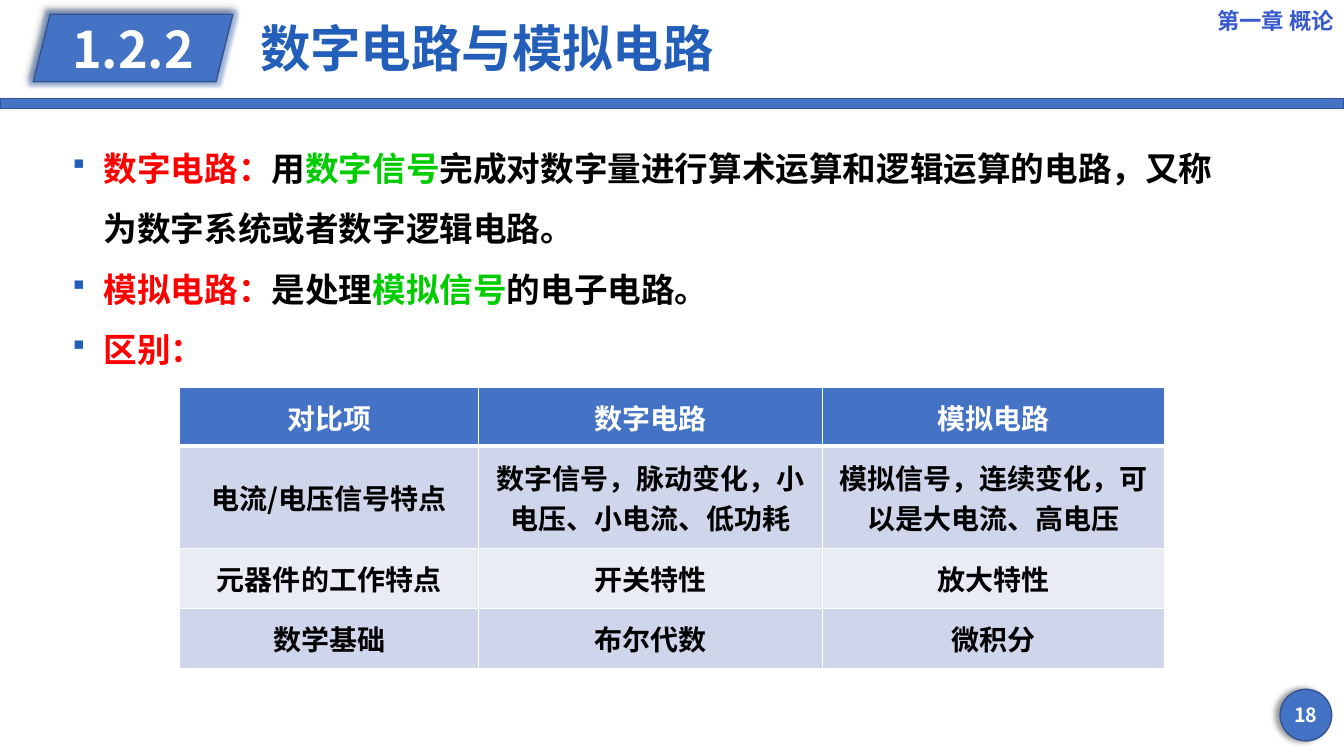
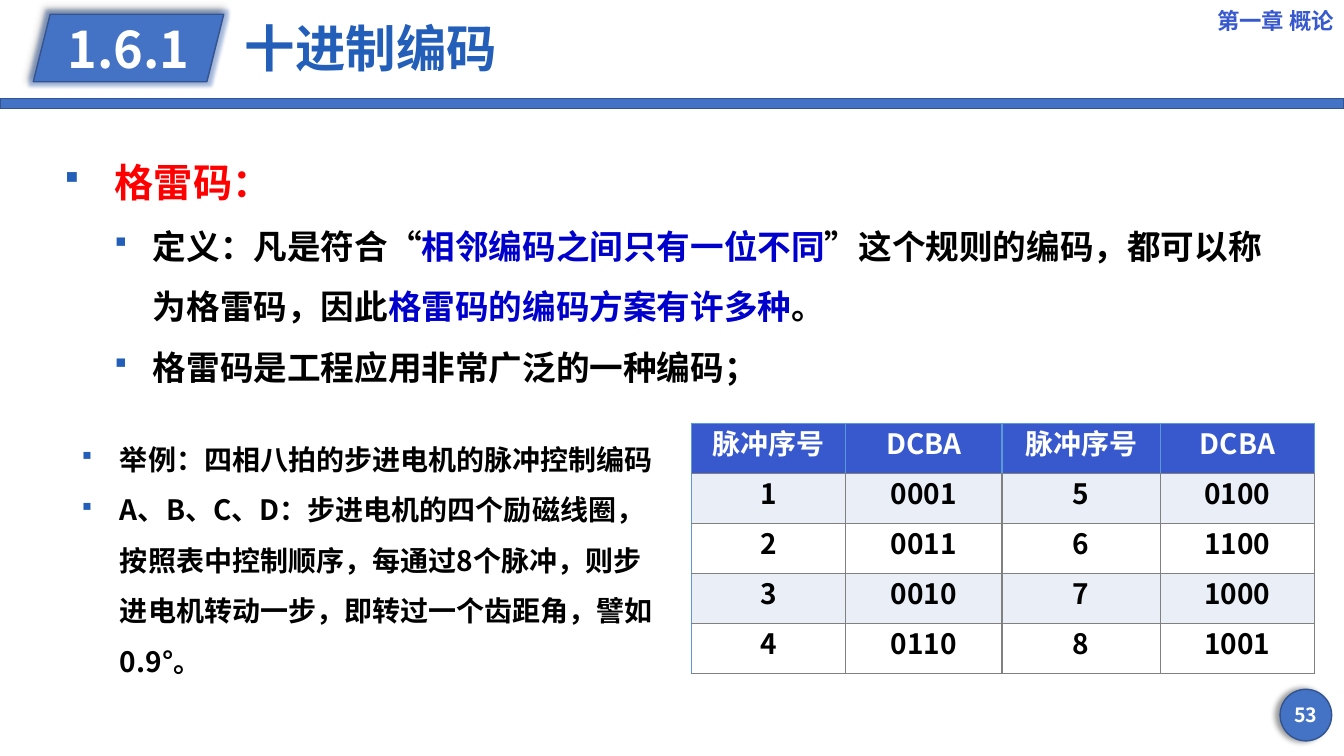
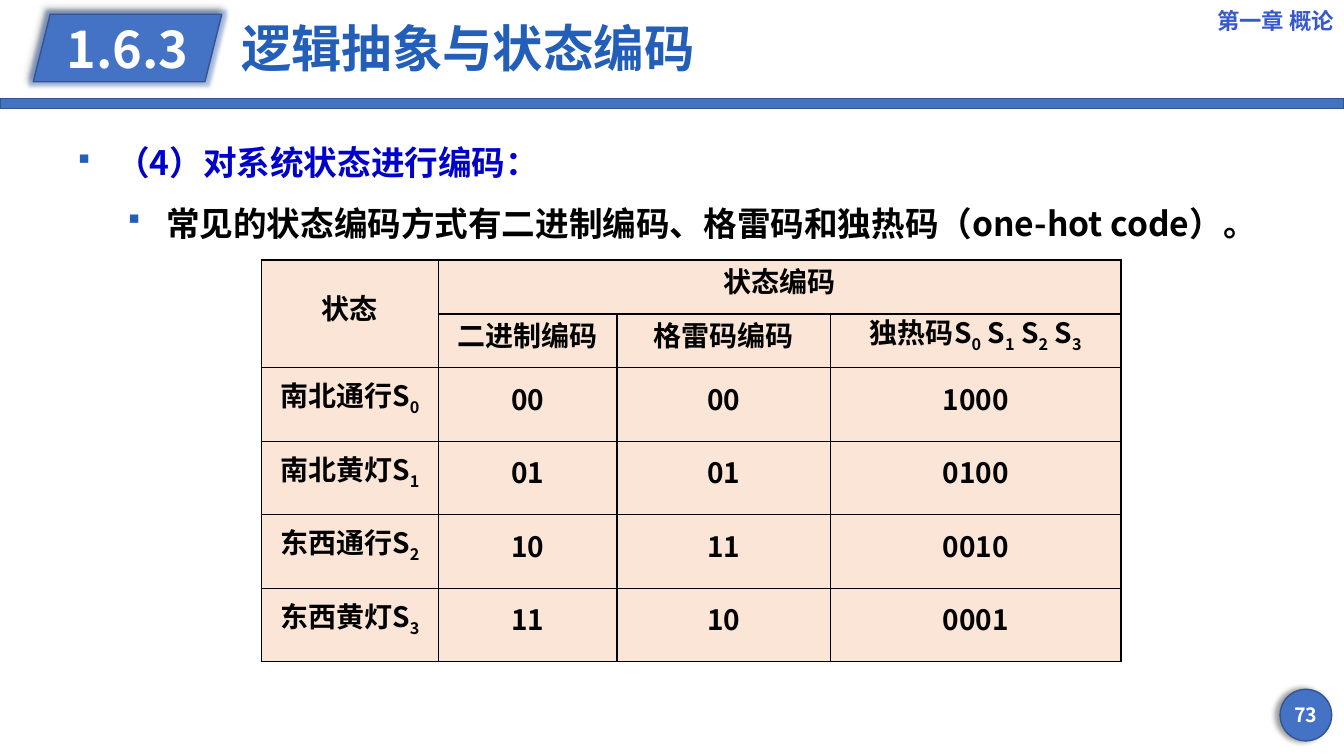
from lxml.etree import SubElement
from pptx import Presentation
from pptx.dml.color import RGBColor
from pptx.enum.shapes import MSO_SHAPE as Shape
from pptx.enum.text import MSO_ANCHOR as Anchor, MSO_AUTO_SIZE as AutoSize, PP_ALIGN as Align
from pptx.oxml import parse_xml
from pptx.oxml.ns import nsdecls, qn
from pptx.util import Cm, Pt

FONT = "Noto Sans CJK SC"
CHAPTER = "第一章 概论"
BLUE, OUTLINE, TITLE_BLUE, CHAPTER_BLUE = "4472C4", "325491", "235EB8", "3859CD"
BLACK, WHITE, RED, GREEN, DEEP_BLUE = "000000", "FFFFFF", "FF0000", "00CC00", "0000CC"
PALE, PALER, ICE, PEACH = "CFD5EA", "E9EBF5", "EAEFF7", "FBE5D6"
SKY, GREY = "5B9BD5", "808080"
TITLE_LAYOUT, TWO_LISTS_LAYOUT = 1, 3


def rgb(value):
    return RGBColor.from_string(value)


def add_run(paragraph, text, size, color, subscript=False):
    run = paragraph.add_run()
    run.text = text
    font = run.font
    font.size, font.bold, font.name = Pt(size), True, FONT
    font.color.rgb = rgb(color)
    properties = run._r.get_or_add_rPr()
    SubElement(properties, qn("a:ea"), typeface=FONT)
    if subscript:
        properties.set("baseline", "-25000")


def write(paragraph, text, size=20, color=BLACK, align=Align.LEFT, leading=None):
    """Write a string or (text, colour) parts; a character after "_" is a subscript."""
    paragraph.alignment = align
    paragraph.space_before = paragraph.space_after = Pt(0)
    if leading is not None:
        paragraph.line_spacing = leading
    parts = [(text, color)] if isinstance(text, str) else text
    for words, part_color in parts:
        plain, *subscripted = words.split("_")
        add_run(paragraph, plain, size, part_color)
        for piece in subscripted:
            add_run(paragraph, piece[0], size, part_color, subscript=True)
            if piece[1:]:
                add_run(paragraph, piece[1:], size, part_color)


def place(item, left, top, width, height):
    item.left, item.top, item.width, item.height = map(Cm, (left, top, width, height))


def add_panel(slide, kind, box, label="", size=14, shadow_angle=None, glow=False):
    """Add a blue outlined shape with an optional centred label and effects."""
    panel = slide.shapes.add_shape(kind, *map(Cm, box))
    panel.shadow.inherit = False
    panel.fill.solid()
    panel.fill.fore_color.rgb = rgb(BLUE)
    panel.line.color.rgb = rgb(OUTLINE)
    panel.line.width = Pt(1)
    effects = panel._element.spPr.find(qn("a:effectLst"))
    if glow:
        effects.append(parse_xml(
            f'<a:glow {nsdecls("a")} rad="63500"><a:srgbClr val="{BLUE}">'
            '<a:alpha val="40000"/></a:srgbClr></a:glow>'))
    if shadow_angle is not None:
        effects.append(parse_xml(
            f'<a:outerShdw {nsdecls("a")} blurRad="50800" dist="38100" '
            f'dir="{shadow_angle * 60000}" rotWithShape="0"><a:srgbClr val="{BLACK}">'
            '<a:alpha val="40000"/></a:srgbClr></a:outerShdw>'))
    if label:
        frame = panel.text_frame
        frame.word_wrap = False
        frame.vertical_anchor = Anchor.MIDDLE
        frame.margin_left = frame.margin_right = frame.margin_top = frame.margin_bottom = 0
        write(frame.paragraphs[0], label, size=size, color=WHITE, align=Align.CENTER)


def add_page(deck, layout, section, title, page, badge_width, title_left, title_width):
    """Add a slide with the band, page number, chapter, section badge and title."""
    slide = deck.slides.add_slide(deck.slide_layouts[layout])
    add_panel(slide, Shape.RECTANGLE, (0, 2.49, 33.87, 0.25))
    add_panel(slide, Shape.OVAL, (32.26, 17.37, 1.3, 1.3), str(page), shadow_angle=180)
    add_panel(slide, Shape.PARALLELOGRAM, (0.84, 0.36, badge_width, 1.7), section,
              size=36, shadow_angle=225, glow=True)

    chapter = slide.shapes.add_textbox(Cm(28.84), Cm(0), Cm(5.03), Cm(1.02)).text_frame
    chapter.word_wrap = True
    chapter.vertical_anchor = Anchor.MIDDLE
    write(chapter.paragraphs[0], CHAPTER, size=16, color=CHAPTER_BLUE, align=Align.RIGHT)

    heading = slide.shapes.title
    place(heading, title_left, 0.28, title_width, 2.03)
    heading.text_frame.auto_size = AutoSize.NONE
    heading.text_frame.vertical_anchor = Anchor.MIDDLE
    write(heading.text_frame.paragraphs[0], title, size=36, color=TITLE_BLUE, leading=0.9)
    return slide


def add_bullet(paragraph, margin, hanging):
    properties = paragraph._p.get_or_add_pPr()
    properties.set("marL", str(Cm(margin)))
    properties.set("indent", str(-Cm(hanging)))
    color = SubElement(properties, qn("a:buClr"))
    SubElement(color, qn("a:srgbClr"), val=TITLE_BLUE)
    SubElement(properties, qn("a:buSzPct"), val="85000")
    SubElement(properties, qn("a:buFont"), typeface="Wingdings", charset="2")
    SubElement(properties, qn("a:buChar"), char="§")


def fill_list(placeholder, box, items, margin=0.97, size=24):
    """Fill a body placeholder from (level, text, format overrides) items."""
    place(placeholder, *box)
    frame = placeholder.text_frame
    frame.word_wrap = True
    frame.auto_size = AutoSize.NONE
    frame.vertical_anchor = Anchor.TOP
    for index, (level, text, overrides) in enumerate(items):
        paragraph = frame.add_paragraph() if index else frame.paragraphs[0]
        paragraph.level = level
        style = {"size": size, **overrides}
        style.setdefault("leading", Pt(style["size"] * 1.8))
        write(paragraph, text, **style)
        if level:
            add_bullet(paragraph, 2.23, 0.97)
        else:
            add_bullet(paragraph, margin, margin)


def set_borders(cell, left, right, top, bottom):
    """Give each side a (colour, points) line."""
    properties = cell._tc.get_or_add_tcPr()
    for side, (color, points) in zip("LRTB", (left, right, top, bottom)):
        line = SubElement(properties, qn(f"a:ln{side}"), w=str(Pt(points)))
        fill = SubElement(line, qn("a:solidFill"))
        SubElement(fill, qn("a:srgbClr"), val=color)


def add_grid(slide, left, top, widths, heights, rows, look, side_margin=0.25,
             end_margin=0, leading=None, merges=()):
    """Add a table; look(row, column) gives fill, text colour and four borders."""
    table = slide.shapes.add_table(
        len(heights), len(widths), Cm(left), Cm(top),
        Cm(sum(widths)), Cm(sum(heights))).table
    table.first_row = table.horz_banding = False
    for column, width in zip(table.columns, widths):
        column.width = Cm(width)
    for r, (height, texts) in enumerate(zip(heights, rows)):
        table.rows[r].height = Cm(height)
        for c, text in enumerate(texts):
            cell = table.cell(r, c)
            fill, color, borders = look(r, c)
            set_borders(cell, *borders)
            cell.fill.solid()
            cell.fill.fore_color.rgb = rgb(fill)
            cell.vertical_anchor = Anchor.MIDDLE
            cell.margin_left = cell.margin_right = Cm(side_margin)
            cell.margin_top = cell.margin_bottom = Cm(end_margin)
            if text:
                write(cell.text_frame.paragraphs[0], text, color=color,
                      align=Align.CENTER, leading=leading)
    for first, last in merges:
        table.cell(*first).merge(table.cell(*last))


def comparison_look(row, column):
    thin, thick = (WHITE, 1), (WHITE, 3)
    if row == 0:
        return BLUE, WHITE, (thin, thin, thin, thick)
    return (PALE if row % 2 else PALER), BLACK, (thin, thin, thick if row == 1 else thin, thin)


def pulse_look(row, column):
    line = (GREY, 1) if row else (SKY, 1)
    left = line if column else (SKY, 1)
    fill = (ICE if row % 2 else WHITE) if row else CHAPTER_BLUE
    return fill, (BLACK if row else WHITE), (left, line, line, line)


def state_look(row, column):
    return PEACH, BLACK, ((BLACK, 1),) * 4


def add_circuit_slide(deck):
    slide = add_page(deck, TITLE_LAYOUT, "1.2.2", "数字电路与模拟电路", 18, 5.03, 6.3, 15.2)
    fill_list(slide.placeholders[1], (1.57, 3.08, 29.39, 6.4), [
        (0, [("数字电路：", RED), ("用", BLACK), ("数字信号", GREEN),
             ("完成对数字量进行算术运算和逻辑运算的电路，又称为数字系统或者数字逻辑电路。", BLACK)], {}),
        (0, [("模拟电路：", RED), ("是处理", BLACK), ("模拟信号", GREEN),
             ("的电子电路。", BLACK)], {}),
        (0, "区别：", {"color": RED}),
    ], margin=0.79)
    add_grid(slide, 4.53, 9.77, [7.53, 8.66, 8.64], [1.47, 2.58, 1.51, 1.51], [
        ["对比项", "数字电路", "模拟电路"],
        ["电流/电压信号特点", "数字信号，脉动变化，小电压、小电流、低功耗",
         "模拟信号，连续变化，可以是大电流、高电压"],
        ["元器件的工作特点", "开关特性", "放大特性"],
        ["数学基础", "布尔代数", "微积分"],
    ], comparison_look, end_margin=0.13)


def add_gray_code_slide(deck):
    slide = add_page(deck, TWO_LISTS_LAYOUT, "1.6.1", "十进制编码", 53, 4.8, 5.92, 7.52)
    fill_list(slide.placeholders[1], (1.37, 3, 30.78, 6.93), [
        (0, "格雷码：", {"size": 28, "color": RED, "leading": Pt(58)}),
        (1, [("定义：凡是符合“", BLACK), ("相邻编码之间只有一位不同", DEEP_BLUE),
             ("”这个规则的编码，都可以称为格雷码，因此", BLACK),
             ("格雷码的编码方案有许多种", DEEP_BLUE), ("。", BLACK)], {}),
        (1, "格雷码是工程应用非常广泛的一种编码；", {}),
    ], margin=1.27)
    fill_list(slide.placeholders[2], (1.8, 10.6, 15.32, 6.68), [
        (0, "举例：四相八拍的步进电机的脉冲控制编码", {}),
        (0, "A、B、C、D：步进电机的四个励磁线圈，按照表中控制顺序，每通过8个脉冲，"
            "则步进电机转动一步，即转过一个齿距角，譬如0.9°。", {}),
    ], size=20)
    codes = ["0001", "0011", "0010", "0110", "0100", "1100", "1000", "1001"]
    half = len(codes) // 2
    pulses = [[str(n + 1), codes[n], str(n + 1 + half), codes[n + half]] for n in range(half)]
    add_grid(slide, 17.42, 10.67, [3.89, 3.94, 3.99, 3.89], [1.26] * (half + 1),
             [["脉冲序号", "DCBA"] * 2, *pulses], pulse_look,
             side_margin=0.5, leading=Pt(20))


def add_state_slide(deck):
    slide = add_page(deck, TITLE_LAYOUT, "1.6.3", "逻辑抽象与状态编码", 73, 4.75, 5.82, 12.9)
    fill_list(slide.placeholders[1], (1.7, 2.95, 31.45, 3.33), [
        (0, "（4）对系统状态进行编码：", {"color": DEEP_BLUE}),
        (1, "常见的状态编码方式有二进制编码、格雷码和独热码（one-hot code）。", {}),
    ])
    add_grid(slide, 6.58, 6.55, [4.47, 4.5, 5.38, 7.32], [1.36] * 2 + [1.85] * 4, [
        ["状态", "状态编码", "", ""],
        ["", "二进制编码", "格雷码编码", "独热码S_0 S_1 S_2 S_3"],
        ["南北通行S_0", "00", "00", "1000"],
        ["南北黄灯S_1", "01", "01", "0100"],
        ["东西通行S_2", "10", "11", "0010"],
        ["东西黄灯S_3", "11", "10", "0001"],
    ], state_look, leading=Pt(20), merges=[((0, 0), (1, 0)), ((0, 1), (0, 3))])


def main():
    deck = Presentation()
    deck.slide_width, deck.slide_height = Cm(33.87), Cm(19.05)
    add_circuit_slide(deck)
    add_gray_code_slide(deck)
    add_state_slide(deck)
    deck.save("out.pptx")


if __name__ == "__main__":
    main()
